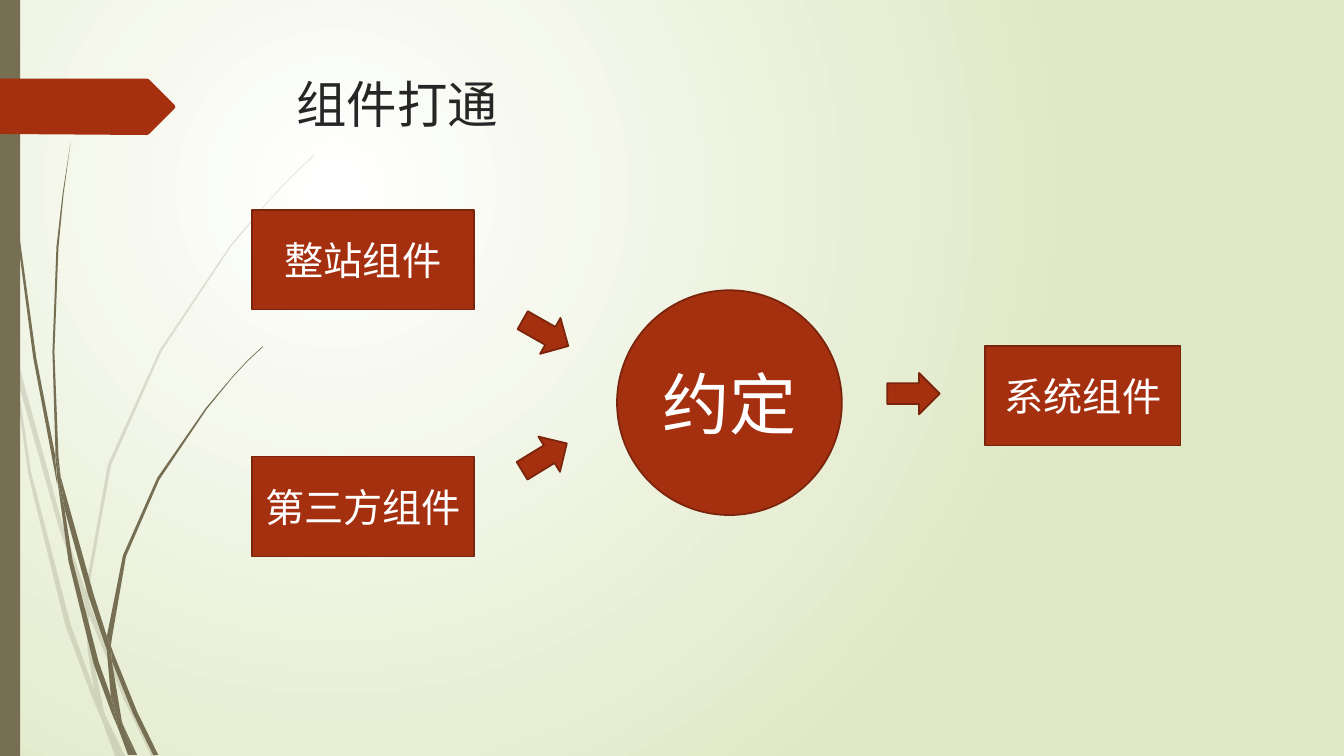
from lxml import etree
from pptx import Presentation
from pptx.dml.color import RGBColor
from pptx.enum import shapes, text
from pptx.oxml.ns import qn
from pptx.util import Inches, Pt

FONT = "League Spartan"
RED = RGBColor(0xA5, 0x30, 0x10)
DARK_RED = RGBColor(0x7A, 0x24, 0x0C)
OLIVE = RGBColor(0x76, 0x6F, 0x54)
PALE_GREEN = RGBColor(0xDF, 0xE8, 0xC4)
WHITE = RGBColor(0xFF, 0xFF, 0xFF)
INK = RGBColor(0x26, 0x26, 0x26)

# Outlines of the grass blades, in inches
PALE_GRASS = [
    [(0.11, 3.5), (0.09, 3.22), (0, 2.82), (0, 2.99), (0.1, 3.44)],
    [(0.58, 5.22), (0.84, 5.99), (0.85, 5.86), (0.62, 5.2), (0.14, 3.45), (0.17, 3.76)],
    [(0.92, 6.07), (0.88, 5.96), (0.88, 6.1), (1.23, 6.94), (1.5, 7.5), (1.55, 7.5),
     (1.27, 6.92)],
    [(1.19, 7.5), (1.24, 7.5), (1.05, 7.11)],
    [(0.93, 6.83), (0.7, 6.19), (0.31, 4.69), (0.17, 3.76), (0.11, 3.5), (0.28, 4.7),
     (0.65, 6.21), (0.92, 6.93), (1.01, 7.14), (0.99, 7.07)],
    [(0.84, 5.99), (0.87, 6.46), (0.93, 6.83), (0.96, 6.92), (1.05, 7.11), (1.03, 7.06),
     (0.91, 6.46), (0.88, 6.1), (0.88, 6.08)],
    [(0.88, 5.84), (1.1, 4.62), (1.6, 3.49), (2.29, 2.45), (2.68, 1.98), (2.9, 1.75),
     (3.12, 1.54), (3.12, 1.53), (2.89, 1.75), (2.68, 1.97), (2.28, 2.44), (1.58, 3.48),
     (1.07, 4.61), (0.85, 5.84), (0.85, 5.86), (0.88, 5.96)],
    [(1.01, 7.14), (1.14, 7.5), (1.19, 7.5)],
    [(0.88, 6.08), (0.88, 6.1), (0.88, 5.96), (0.85, 5.86), (0.84, 5.99)],
    [(0.96, 6.92), (0.93, 6.83), (0.99, 7.07), (1.01, 7.14), (1.19, 7.5), (1.05, 7.11)],
]
DARK_GRASS = [
    [(0.07, 1.1), (0.17, 2.33), (0.33, 3.55), (0.56, 4.77), (0.57, 4.81), (0.55, 4.57),
     (0.55, 4.53), (0.36, 3.55), (0.19, 2.32), (0.08, 1.09), (0.05, 0.48), (0.04, 0),
     (0.03, 0), (0.04, 0.48)],
    [(0.88, 5.92), (1.06, 6.45), (1.06, 6.31), (0.93, 5.9), (0.6, 4.72), (0.64, 5.05)],
    [(1.13, 6.49), (1.1, 6.41), (1.11, 6.56), (1.32, 7.08), (1.52, 7.49), (1.57, 7.49),
     (1.36, 7.06)],
    [(1.1, 6.91), (0.98, 6.57), (0.72, 5.56), (0.64, 5.05), (0.57, 4.77), (0.68, 5.57),
     (0.93, 6.59), (1.11, 7.08), (1.17, 7.22), (1.16, 7.17)],
    [(0.6, 4.72), (0.58, 4.53), (0.54, 3.49), (0.58, 2.45), (0.63, 1.93), (0.7, 1.41),
     (0.62, 1.93), (0.56, 2.45), (0.52, 3.49), (0.55, 4.49)],
    [(1.33, 7.49), (1.36, 7.49), (1.22, 7.19)],
    [(0.57, 4.77), (0.64, 5.05), (0.6, 4.72), (0.55, 4.49), (0.55, 4.53)],
    [(1.11, 6.33), (1.25, 5.52), (1.58, 4.76), (2.05, 4.06), (2.31, 3.74), (2.45, 3.59),
     (2.61, 3.44), (2.6, 3.44), (2.45, 3.58), (2.31, 3.73), (2.04, 4.05), (1.56, 4.74),
     (1.22, 5.51), (1.06, 6.31), (1.1, 6.41)],
    [(1.17, 7.22), (1.27, 7.49), (1.31, 7.49)],
    [(1.06, 6.45), (1.1, 6.91), (1.16, 7.06), (1.22, 7.19), (1.21, 7.16), (1.11, 6.56),
     (1.09, 6.51)],
    [(1.06, 6.45), (1.09, 6.51), (1.11, 6.56), (1.1, 6.41), (1.06, 6.31)],
    [(1.16, 7.06), (1.1, 6.91), (1.16, 7.17), (1.17, 7.22), (1.3, 7.49), (1.33, 7.49),
     (1.22, 7.19)],
]
TITLE_MARKER = [(0, 0.78), (1.46, 0.78), (1.48, 0.79), (1.73, 1.04), (1.74, 1.06),
                (1.73, 1.08), (1.48, 1.33), (1.46, 1.34), (0, 1.33)]


def paint(sp, fill, line=None, alpha=None):
    sp.shadow.inherit = False
    sp.fill.solid()
    sp.fill.fore_color.rgb = fill
    if line is None:
        sp.line.fill.background()
    else:
        sp.line.color.rgb = line
        sp.line.width = Pt(1.25)
    if alpha is not None:
        clr = sp.element.spPr.find(qn("a:solidFill")).find(qn("a:srgbClr"))
        etree.SubElement(clr, qn("a:alpha")).set("val", str(alpha * 1000))


def set_background(s):
    fill = s.background.fill
    fill.gradient()
    for stop, color in zip(fill.gradient_stops, (WHITE, PALE_GREEN)):
        stop.color.rgb = color
    grad = s.element.find(".//" + qn("a:gradFill"))
    grad.remove(grad.find(qn("a:lin")))
    circle = etree.SubElement(grad, qn("a:path"), {"path": "circle"})
    etree.SubElement(circle, qn("a:fillToRect"),
                     {"l": "50000", "t": "50000", "r": "100000", "b": "100000"})


def add_outline(parent, points, fill, alpha=None):
    start, *rest = [(Inches(x), Inches(y)) for x, y in points]
    builder = parent.shapes.build_freeform(*start)
    builder.add_line_segments(rest, close=True)
    paint(builder.convert_to_shape(), fill, alpha=alpha)


def add_grass(s, blades, alpha=None):
    group = s.shapes.add_group_shape()
    for points in blades:
        add_outline(group, points, OLIVE, alpha)


def write(sp, content, size, color=WHITE, align=text.PP_ALIGN.CENTER,
          anchor=text.MSO_ANCHOR.MIDDLE):
    tf = sp.text_frame
    tf.word_wrap = True
    tf.vertical_anchor = anchor
    p = tf.paragraphs[0]
    p.alignment = align
    r = p.add_run()
    r.text = content
    r.font.name = FONT
    r.font.size = Pt(size)
    r.font.color.rgb = color


def add_node(s, kind, x, y, w, h):
    sp = s.shapes.add_shape(kind, Inches(x), Inches(y), Inches(w), Inches(h))
    paint(sp, RED, DARK_RED)
    return sp


def add_arrow(s, x, y, rotation=0):
    sp = add_node(s, shapes.MSO_SHAPE.RIGHT_ARROW, x, y, 0.52, 0.41)
    sp.rotation = rotation


def main():
    prs = Presentation()
    prs.slide_width, prs.slide_height = Inches(13.33), Inches(7.5)
    s = prs.slides.add_slide(prs.slide_layouts[6])

    # Backdrop: gradient, grass, side bar, title marker
    set_background(s)
    add_grass(s, PALE_GRASS, alpha=20)
    add_grass(s, DARK_GRASS)
    bar = s.shapes.add_shape(shapes.MSO_SHAPE.RECTANGLE, 0, 0, Inches(0.2), prs.slide_height)
    paint(bar, OLIVE)
    add_outline(s, TITLE_MARKER, RED)

    # Title
    title = s.shapes.add_textbox(Inches(2.84), Inches(0.68), Inches(9.75), Inches(1.4))
    write(title, "组件打通", 36, INK, text.PP_ALIGN.LEFT, text.MSO_ANCHOR.TOP)

    # Components and the agreement that joins them
    for label, x, y, w in (("系统组件", 9.77, 3.43, 1.94),
                           ("整站组件", 2.5, 2.08, 2.2),
                           ("第三方组件", 2.5, 4.53, 2.2)):
        write(add_node(s, shapes.MSO_SHAPE.RECTANGLE, x, y, w, 0.99), label, 28)
    write(add_node(s, shapes.MSO_SHAPE.OVAL, 6.12, 2.88, 2.23, 2.23), "约定", 48)

    # Flow arrows
    add_arrow(s, 5.15, 3.1, 29.6)
    add_arrow(s, 5.14, 4.33, 328.5)
    add_arrow(s, 8.8, 3.7)

    prs.save("out.pptx")


if __name__ == "__main__":
    main()
